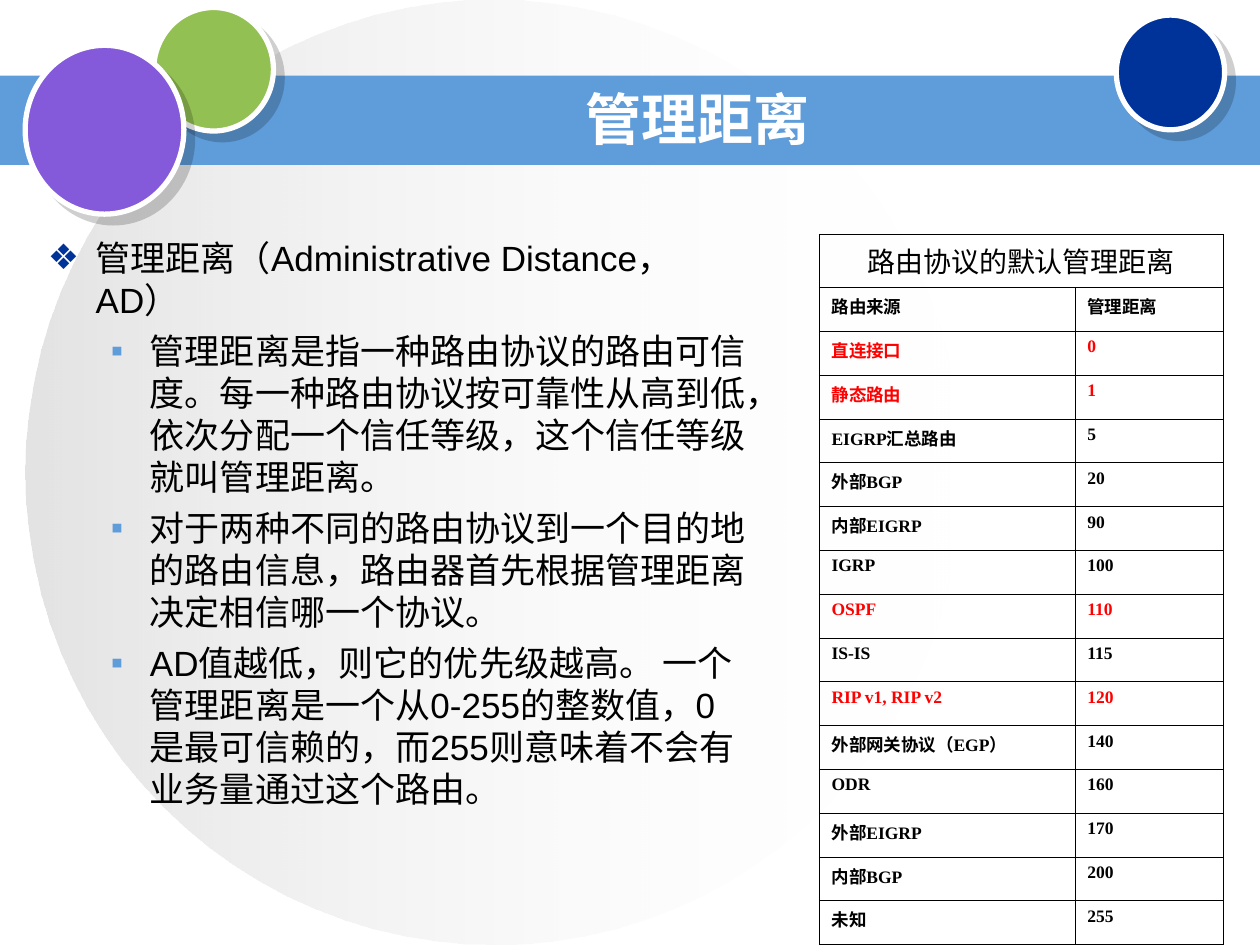
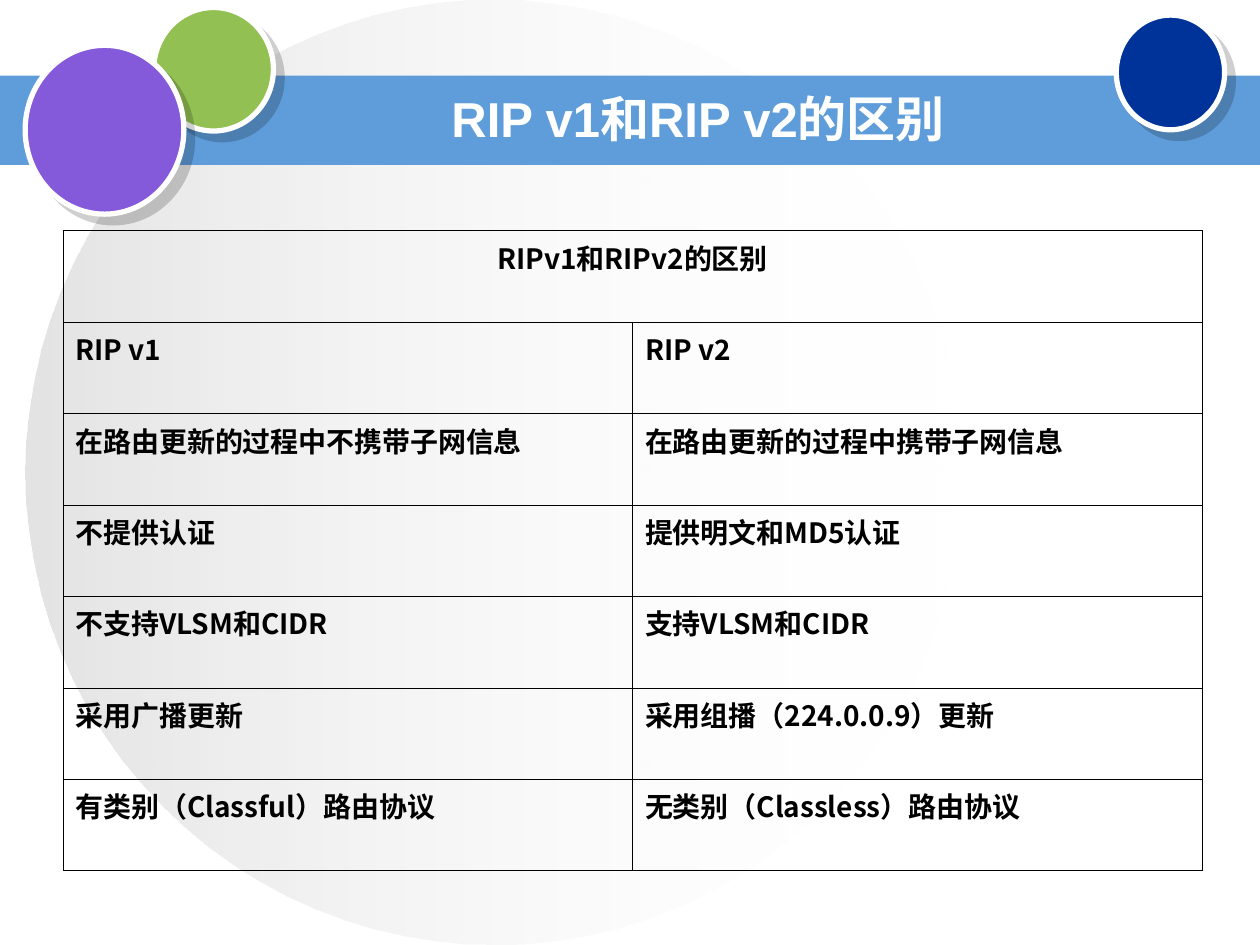
from lxml import etree
from pptx import Presentation
from pptx.dml.color import RGBColor
from pptx.enum.shapes import MSO_SHAPE
from pptx.enum.text import MSO_ANCHOR, MSO_AUTO_SIZE, PP_ALIGN
from pptx.oxml.ns import qn
from pptx.util import Inches, Pt

OVAL, RECTANGLE = MSO_SHAPE.OVAL, MSO_SHAPE.RECTANGLE
CENTER, LEFT = PP_ALIGN.CENTER, PP_ALIGN.LEFT
MIDDLE, TOP = MSO_ANCHOR.MIDDLE, MSO_ANCHOR.TOP
NO_AUTOFIT = MSO_AUTO_SIZE.NONE

BLACK = RGBColor(0x00, 0x00, 0x00)
WHITE = RGBColor(0xFF, 0xFF, 0xFF)
GRAY = RGBColor(0xC0, 0xC0, 0xC0)
RED = RGBColor(0xFF, 0x00, 0x00)
BLUE = RGBColor(0x5E, 0x9C, 0xDA)
NAVY = RGBColor(0x00, 0x33, 0x99)
GREEN = RGBColor(0x93, 0xC0, 0x52)
PURPLE = RGBColor(0x85, 0x5A, 0xDA)

ARIAL = "Arial"
TIMES = "Times New Roman"
CJK = "Noto Sans CJK SC"

CIRCLES = [
    (1.22, 0.06, 0.95, 0.98, GREEN),
    (8.86, 0.12, 0.86, 0.91, NAVY),
    (0.2, 0.36, 1.26, 1.34, PURPLE),
]

BULLET_LEVELS = [("❖", NAVY, 0.38, -0.38), ("▪", BLUE, 0.81, -0.31)]

DISTANCE_POINTS = [
    (0, "管理距离（Administrative Distance，AD）"),
    (1, "管理距离是指一种路由协议的路由可信度。每一种路由协议按可靠性从高到低，"
        "依次分配一个信任等级，这个信任等级就叫管理距离。"),
    (1, "对于两种不同的路由协议到一个目的地的路由信息，"
        "路由器首先根据管理距离决定相信哪一个协议。"),
    (1, "AD值越低，则它的优先级越高。 一个管理距离是一个从0-255的整数值，"
        "0是最可信赖的，而255则意味着不会有业务量通过这个路由。"),
]

DISTANCE_ROWS = [
    ("路由来源", "管理距离"),
    ("直连接口", "0"),
    ("静态路由", "1"),
    ("EIGRP汇总路由", "5"),
    ("外部BGP", "20"),
    ("内部EIGRP", "90"),
    ("IGRP", "100"),
    ("OSPF", "110"),
    ("IS-IS", "115"),
    ("RIP v1, RIP v2", "120"),
    ("外部网关协议（EGP）", "140"),
    ("ODR", "160"),
    ("外部EIGRP", "170"),
    ("内部BGP", "200"),
    ("未知", "255"),
]
HIGHLIGHTED_SOURCES = {"直连接口", "静态路由", "OSPF", "RIP v1, RIP v2"}

RIP_ROWS = [
    ("RIP v1", "RIP v2"),
    ("在路由更新的过程中不携带子网信息", "在路由更新的过程中携带子网信息"),
    ("不提供认证", "提供明文和MD5认证"),
    ("不支持VLSM和CIDR", "支持VLSM和CIDR"),
    ("采用广播更新", "采用组播（224.0.0.9）更新"),
    ("有类别（Classful）路由协议", "无类别（Classless）路由协议"),
]


def add_child(parent, tag, **attributes):
    child = etree.SubElement(parent, qn(tag))
    for name, value in attributes.items():
        child.set(name, str(value))
    return child


def add_color(parent, color, alpha=None):
    node = add_child(parent, "a:srgbClr", val=color)
    if alpha is not None:
        add_child(node, "a:alpha", val=alpha * 1000)


def format_paragraph(paragraph, size, name, color, bold=False, align=LEFT):
    paragraph.alignment = align
    font = paragraph.font
    font.size = Pt(size)
    font.bold = bold
    font.color.rgb = color
    font.name = name
    defaults = paragraph._p.pPr.find(qn("a:defRPr"))
    add_child(defaults, "a:ea", typeface=CJK)


def place(shape, left, top, width, height):
    shape.left, shape.top = Inches(left), Inches(top)
    shape.width, shape.height = Inches(width), Inches(height)


def add_plain_shape(page, kind, left, top, width, height):
    shape = page.shapes.add_shape(
        kind, Inches(left), Inches(top), Inches(width), Inches(height))
    shape.shadow.inherit = False
    shape.line.fill.background()
    return shape


def add_backdrop(page):
    disc = add_plain_shape(page, OVAL, 0.2, 0, 7.44, 7.5)
    disc.fill.gradient()
    disc.fill.gradient_angle = 0
    fades = [(GRAY, 44), (WHITE, 0)]
    for position, (stop, (color, alpha)) in enumerate(zip(disc.fill.gradient_stops, fades)):
        stop.position = position
        stop.color.rgb = color
    for node, (color, alpha) in zip(disc.element.spPr.iter(qn("a:srgbClr")), fades):
        add_child(node, "a:alpha", val=alpha * 1000)
    return disc


def add_band(page):
    band = add_plain_shape(page, RECTANGLE, 0, 0.6, 10, 0.71)
    band.fill.solid()
    band.fill.fore_color.rgb = BLUE
    return band


def add_circle(page, left, top, width, height, color):
    circle = add_plain_shape(page, OVAL, left, top, width, height)
    circle.fill.solid()
    circle.fill.fore_color.rgb = color
    circle.line.color.rgb = WHITE
    circle.line.width = Pt(3)
    effects = circle.element.spPr.find(qn("a:effectLst"))
    shadow = add_child(effects, "a:outerShdw", dist=Pt(7.1), dir=45 * 60000,
                       algn="ctr", rotWithShape=0)
    add_color(shadow, BLACK, 19)
    return circle


def decorate_master(deck, page):
    decorations = [add_backdrop(page), add_band(page)]
    decorations += [add_circle(page, *circle) for circle in CIRCLES]
    tree = deck.slide_master.shapes.element
    for index, shape in enumerate(decorations):
        shape.element.nvSpPr.cNvPr.set("id", str(101 + index))
        tree.insert(2 + index, shape.element)


def set_title(page, text, size):
    title = page.shapes.title
    place(title, 2.25, 0.67, 6.58, 0.53)
    frame = title.text_frame
    frame.text = text
    frame.auto_size = NO_AUTOFIT
    frame.vertical_anchor = MIDDLE
    format_paragraph(frame.paragraphs[0], size, ARIAL, WHITE, True, CENTER)


def add_bullet(paragraph, level):
    symbol, color, margin, indent = BULLET_LEVELS[level]
    properties = paragraph._p.get_or_add_pPr()
    properties.set("marL", str(Inches(margin)))
    properties.set("indent", str(Inches(indent)))
    add_color(add_child(properties, "a:buClr"), color)
    add_child(properties, "a:buFont", typeface=ARIAL)
    add_child(properties, "a:buChar", char=symbol)


def set_body(page, points):
    body = page.placeholders[1]
    place(body, 0.28, 1.83, 5.75, 5.08)
    frame = body.text_frame
    frame.text = "\n".join(text for level, text in points)
    frame.auto_size = NO_AUTOFIT
    frame.vertical_anchor = TOP
    for index, (paragraph, (level, text)) in enumerate(zip(frame.paragraphs, points)):
        paragraph.level = level
        add_bullet(paragraph, level)
        paragraph.line_spacing = Pt(24)
        paragraph.space_before = Pt(5 if index else 0)
        format_paragraph(paragraph, 20, ARIAL, BLACK)


def outline_cell(cell):
    properties = cell._tc.get_or_add_tcPr()
    for side in ("a:lnL", "a:lnR", "a:lnT", "a:lnB"):
        line = add_child(properties, side, w=Pt(0.23))
        add_color(add_child(line, "a:solidFill"), BLACK)
    cell.fill.background()


def fill_cell(cell, text, **style):
    cell.text = text
    format_paragraph(cell.text_frame.paragraphs[0], **style)


def add_ruled_table(page, left, top, widths, header_height, row_height,
                    header, header_style, rows, row_style, highlighted=()):
    height = header_height + row_height * len(rows)
    table = page.shapes.add_table(
        len(rows) + 1, len(widths), Inches(left), Inches(top),
        Inches(sum(widths)), Inches(height)).table
    table.first_row = table.horz_banding = False
    for column, width in zip(table.columns, widths):
        column.width = Inches(width)
    for index, row in enumerate(table.rows):
        row.height = Inches(row_height if index else header_height)
    for cell in table.iter_cells():
        outline_cell(cell)
    table.cell(0, 0).merge(table.cell(0, len(widths) - 1))
    fill_cell(table.cell(0, 0), header, color=BLACK, align=CENTER, **header_style)
    for row_index, row in enumerate(rows, 1):
        color = RED if row[0] in highlighted else BLACK
        for column_index, text in enumerate(row):
            fill_cell(table.cell(row_index, column_index), text, color=color, **row_style)


def build_distance_page(page):
    set_title(page, "管理距离", 32)
    set_body(page, DISTANCE_POINTS)
    add_ruled_table(
        page, 6.5, 1.86, (2.03, 1.18), 0.37, (5.59 - 0.37) / len(DISTANCE_ROWS),
        "路由协议的默认管理距离", dict(size=16, name=ARIAL),
        DISTANCE_ROWS, dict(size=10, name=TIMES, bold=True), HIGHLIGHTED_SOURCES)


def build_rip_page(page):
    set_title(page, "RIP v1和RIP v2的区别", 28)
    row_height = 5.08 / (len(RIP_ROWS) + 1)
    style = dict(size=16, name=CJK, bold=True)
    add_ruled_table(
        page, 0.5, 1.83, (4.52, 4.52), row_height, row_height,
        "RIPv1和RIPv2的区别", style, RIP_ROWS, style)


def main():
    deck = Presentation()
    deck.slide_width, deck.slide_height = Inches(10), Inches(7.5)
    distance_page = deck.slides.add_slide(deck.slide_layouts[1])
    decorate_master(deck, distance_page)
    build_distance_page(distance_page)
    build_rip_page(deck.slides.add_slide(deck.slide_layouts[5]))
    deck.save("out.pptx")


if __name__ == "__main__":
    main()
